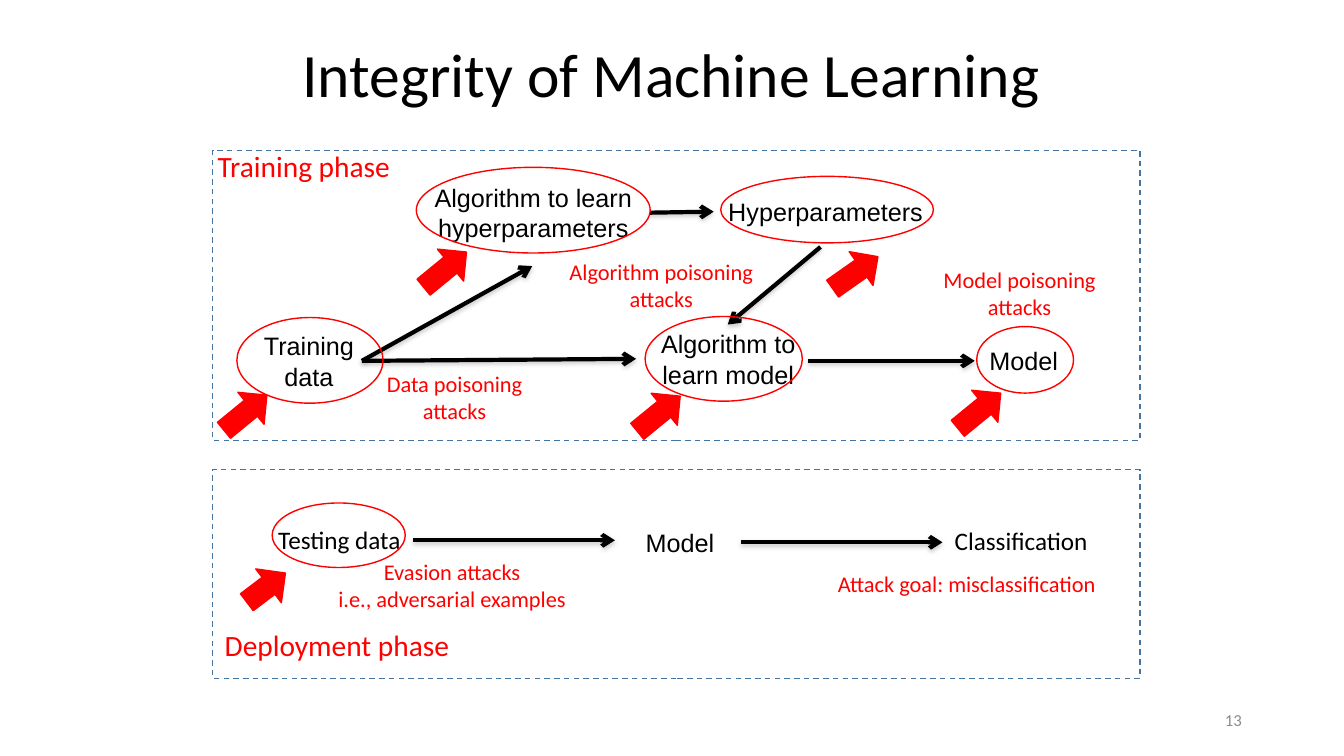
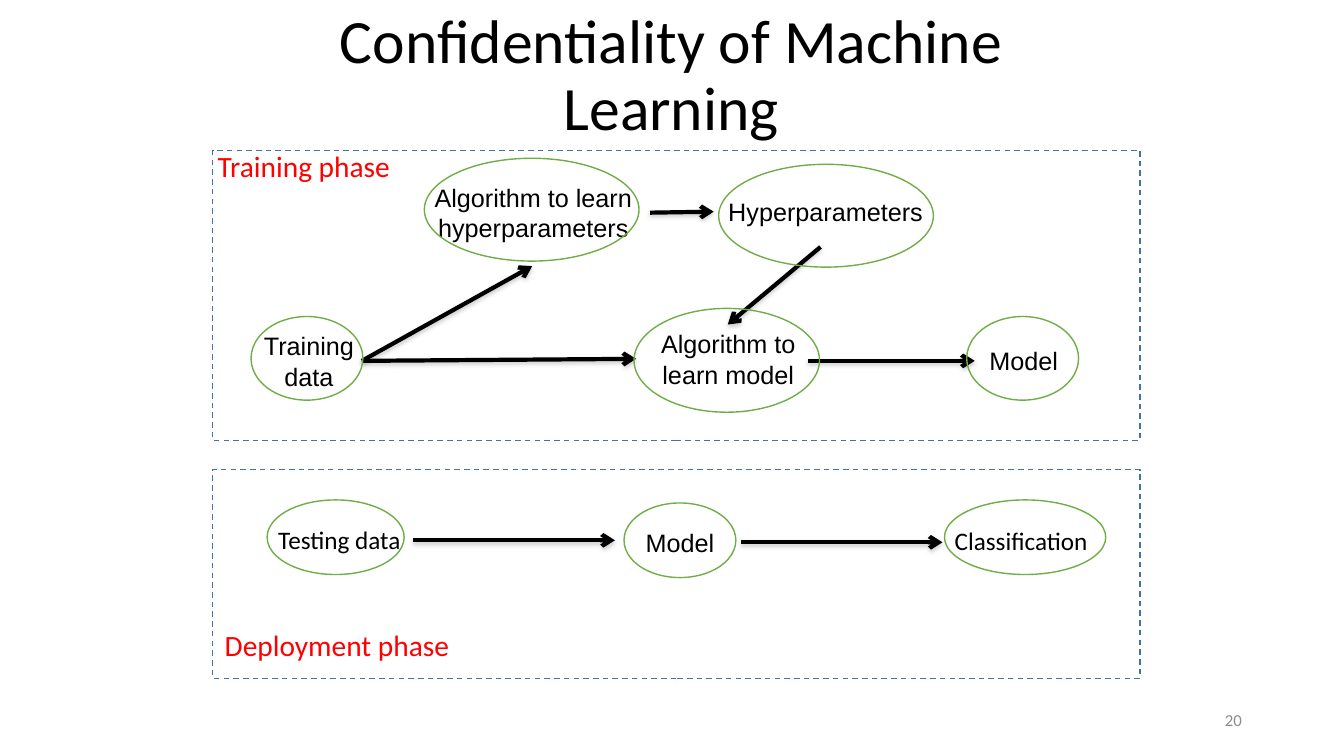
from dataclasses import dataclass
from typing import NamedTuple

from lxml.etree import SubElement
from pptx import Presentation
from pptx.dml.color import RGBColor
from pptx.enum.dml import MSO_LINE
from pptx.enum.shapes import MSO_CONNECTOR, MSO_SHAPE
from pptx.enum.text import MSO_ANCHOR, MSO_AUTO_SIZE, PP_ALIGN
from pptx.oxml.ns import qn
from pptx.util import Inches, Pt

CELL = 0.1
COLS, ROWS = 133.33, 75
BLACK, RED, GREEN, BLUE, GRAY = "000000", "FF0000", "70AD47", "43739E", "8C8C8C"
LEFT, CENTER, RIGHT = PP_ALIGN.LEFT, PP_ALIGN.CENTER, PP_ALIGN.RIGHT


class Box(NamedTuple):
    """Left, top, width and height in grid cells."""
    col: float
    row: float
    cols: float
    rows: float


class Flow(NamedTuple):
    """Start and end of an arrow in grid cells."""
    col: float
    row: float
    to_col: float
    to_row: float


class Pointer(NamedTuple):
    """A block arrow that marks a point of attack."""
    box: Box
    angle: float = 50.7


@dataclass(frozen=True)
class Label:
    """A piece of text with its place and style."""
    box: Box
    text: str
    size: float = 18
    font: str = "Calibri"
    color: str = BLACK
    align: PP_ALIGN = CENTER
    wrap: bool = False


@dataclass(frozen=True)
class Page:
    """What differs from one slide to the next."""
    title: str
    number: int
    ring_color: str
    rings: tuple[Box, ...]
    pointers: tuple[Pointer, ...] = ()
    attacks: tuple[Label, ...] = ()


def step(col: float, row: float, cols: float, rows: float, text: str,
         wrap: bool = False) -> Label:
    """Describe a step of the learning process."""
    return Label(Box(col, row, cols, rows), text, font="Arial", wrap=wrap)


def attack(col: float, row: float, cols: float, text: str) -> Label:
    """Describe a red caption, as high as its lines."""
    rows = 0.9 + 2.6 * len(text.split("\n"))
    return Label(Box(col, row, cols, rows), text, 16, color=RED)


def phase(col: float, row: float, cols: float, text: str) -> Label:
    """Describe the name of a phase."""
    return Label(Box(col, row, cols, 4.3), text, 21, color=RED, align=LEFT)


FRAMES = (Box(21.1, 14.9, 92, 28.8), Box(21.1, 46.6, 92, 20.7))
LABELS = (
    step(25.4, 32.4, 10.5, 6.8, "Training\ndata"),
    step(41.3, 17.7, 23.2, 6.8, "Algorithm to learn hyperparameters", True),
    step(70.4, 19.1, 23, 3.8, "Hyperparameters"),
    step(63.1, 32.2, 18.3, 6.8, "Algorithm to learn model", True),
    step(97, 33.9, 9.1, 3.8, "Model"),
    step(62.9, 51.9, 9.1, 3.8, "Model"),
    Label(Box(26.9, 51.6, 14.1, 3.8), "Testing data", align=LEFT),
    Label(Box(94, 51.7, 14.9, 3.8), "Classification", align=LEFT),
    phase(20.9, 14.3, 19, "Training phase"),
    phase(21.6, 61.8, 24, "Deployment phase"),
)
FLOWS = (
    Flow(35.9, 35.8, 52.8, 26.4),
    Flow(81.4, 24.5, 72.2, 32.2),
    Flow(80.2, 35.8, 96.7, 35.8),
    Flow(64.5, 21.1, 70.8, 21),
    Flow(35.9, 35.8, 63.1, 35.6),
    Flow(41, 53.6, 61, 53.6),
    Flow(73.5, 53.8, 93.5, 53.8),
)
PAGES = (
    Page(
        "Integrity of Machine Learning", 13, RED,
        rings=(
            Box(23.5, 31.5, 14.5, 8.5), Box(27, 49.9, 13.2, 6.4),
            Box(64, 31.4, 15.6, 8.4), Box(41.3, 16.6, 23.2, 8.5),
            Box(96.9, 32.4, 9.6, 6.6), Box(71.5, 17.5, 21.1, 6.6),
        ),
        pointers=(
            *(Pointer(Box(col, row, 4.1, 5.5)) for col, row in
              ((22.3, 38.2), (63.3, 38.3), (42.1, 24), (95.1, 38))),
            Pointer(Box(82.8, 24.3, 4.1, 5.5), 54.8),
            Pointer(Box(24.3, 55.9, 4.2, 4.8), 52.9),
        ),
        attacks=(
            attack(82.2, 56.2, 27.4, "Attack goal: misclassification"),
            attack(37.3, 36.3, 15.6, "Data poisoning\nattacks"),
            attack(32.7, 55, 24.3, "Evasion attacks\ni.e., adversarial examples"),
            attack(55.4, 25.2, 20.4, "Algorithm poisoning\nattacks"),
            attack(92.5, 26, 17.3, "Model poisoning\nattacks"),
        ),
    ),
    Page(
        "Confidentiality of Machine Learning", 20, GREEN,
        rings=(
            Box(71.3, 16.3, 21.3, 10.2), Box(42.1, 15.7, 21.3, 10.2),
            Box(62.9, 30.6, 18.4, 10.3), Box(24.9, 31.4, 11.1, 8.3),
            Box(95.9, 31.4, 11.1, 8.3), Box(61.9, 49.9, 11.1, 7.4),
            Box(26.5, 49.6, 13.6, 7.4), Box(93.7, 49.6, 16, 7.4),
        ),
    ),
)


def rgb(color: str) -> RGBColor:
    """Turn a hex string into a colour."""
    return RGBColor.from_string(color)


def cells(*counts: float) -> list[int]:
    """Turn counts of grid cells into lengths."""
    return [Inches(n * CELL) for n in counts]


def add_label(s, label: Label):
    """Write a label and return its text frame."""
    tf = s.shapes.add_textbox(*cells(*label.box)).text_frame
    tf.word_wrap = label.wrap
    tf.auto_size = MSO_AUTO_SIZE.SHAPE_TO_FIT_TEXT
    tf.margin_left = tf.margin_right = Inches(0.07)
    tf.margin_top = tf.margin_bottom = Inches(0.04)
    tf.text = label.text
    for p in tf.paragraphs:
        p.alignment = label.align
        p.font.size = Pt(label.size)
        p.font.name = label.font
        p.font.color.rgb = rgb(label.color)
    return tf


def add_heading(s, label: Label) -> None:
    """Write a title or footer, centred in the height of its box."""
    tf = add_label(s, label)
    tf.auto_size = MSO_AUTO_SIZE.NONE
    tf.vertical_anchor = MSO_ANCHOR.MIDDLE
    tf.margin_left = tf.margin_right = Inches(0.1)
    tf.paragraphs[0].line_spacing = 0.9


def add_outline(s, kind: MSO_SHAPE, box: Box, color: str):
    """Draw an unfilled shape with a thin line."""
    sp = s.shapes.add_shape(kind, *cells(*box))
    sp.shadow.inherit = False
    sp.fill.background()
    sp.line.color.rgb = rgb(color)
    sp.line.width = Pt(1)
    return sp


def add_pointer(s, pointer: Pointer) -> None:
    """Draw a red block arrow."""
    sp = add_outline(s, MSO_SHAPE.UP_ARROW, pointer.box, RED)
    sp.fill.solid()
    sp.fill.fore_color.rgb = rgb(RED)
    sp.rotation = pointer.angle


def add_flow(s, flow: Flow) -> None:
    """Draw a black arrow with a soft shadow below it."""
    arrow = s.shapes.add_connector(MSO_CONNECTOR.STRAIGHT, *cells(*flow))
    arrow.line.color.rgb = rgb(BLACK)
    arrow.line.width = Pt(3)
    SubElement(arrow.get_or_add_ln(), qn("a:tailEnd"), type="arrow")
    effects = SubElement(arrow._element.spPr, qn("a:effectLst"))
    shadow = SubElement(effects, qn("a:outerShdw"), blurRad=str(Pt(3.1)),
                        dist=str(Pt(1.6)), dir="5400000", rotWithShape="0")
    tint = SubElement(shadow, qn("a:srgbClr"), val="808080")
    SubElement(tint, qn("a:alpha"), val="38000")


def add_page(prs, page: Page) -> None:
    """Build one slide."""
    s = prs.slides.add_slide(prs.slide_layouts[6])
    add_heading(s, Label(Box(23.5, 0.4, 86.2, 14.5), page.title, 44, wrap=True))
    add_heading(s, Label(Box(94.2, 69.5, 30, 4), str(page.number), 12,
                         color=GRAY, align=RIGHT, wrap=True))
    for label in LABELS:
        add_label(s, label)
    for flow in FLOWS:
        add_flow(s, flow)
    for frame in FRAMES:
        sp = add_outline(s, MSO_SHAPE.RECTANGLE, frame, BLUE)
        sp.line.dash_style = MSO_LINE.DASH
    for ring in page.rings:
        add_outline(s, MSO_SHAPE.OVAL, ring, page.ring_color)
    for pointer in page.pointers:
        add_pointer(s, pointer)
    for label in page.attacks:
        add_label(s, label)


def main() -> None:
    """Build and save the presentation."""
    prs = Presentation()
    prs.slide_width, prs.slide_height = cells(COLS, ROWS)
    for page in PAGES:
        add_page(prs, page)
    prs.save("out.pptx")


if __name__ == "__main__":
    main()
